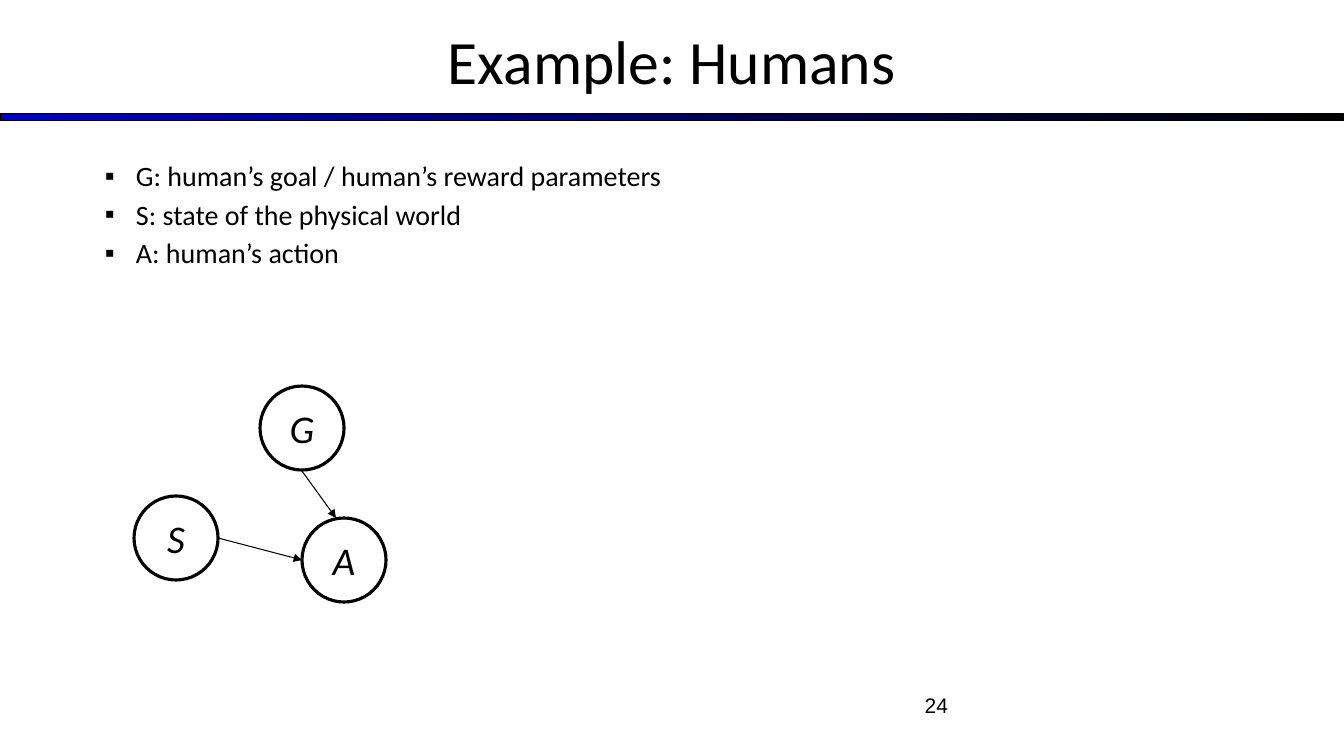
"""Build the slide that shows a human's action as a small graphical model."""
from lxml.etree import SubElement
from pptx import Presentation
from pptx.dml.color import RGBColor
from pptx.enum.shapes import MSO_CONNECTOR, MSO_SHAPE
from pptx.enum.text import MSO_ANCHOR as Anchor, PP_ALIGN as Align
from pptx.oxml.ns import qn
from pptx.util import Pt

TITLE = "Example: Humans"
DEFINITIONS = [
    "G: human’s goal / human’s reward parameters",
    "S: state of the physical world",
    "A: human’s action",
]
PAGE_NUMBER = "24"
NODES = {"G": (260, 386), "S": (134, 496), "A": (302, 518)}
NODE_SIZE = 84
ARROWS = [((218, 538), (302, 560)), ((302, 471), (336, 518))]
COLORS = {"ink": "000000", "paper": "FFFFFF", "bar": "0000CC"}
WIDTH, HEIGHT = 1344, 756
SCALE = 914400 / 100.8


def emu(*pixels):
    return [round(value * SCALE) for value in pixels]


def color(name):
    return RGBColor.from_string(COLORS[name])


def write(frame, lines, size, font="Calibri", align=Align.LEFT, anchor=Anchor.TOP,
          italic=False, wrap=True, before=0):
    frame.word_wrap = wrap
    frame.vertical_anchor = anchor
    for index, line in enumerate(lines):
        paragraph = frame.add_paragraph() if index else frame.paragraphs[0]
        paragraph.alignment = align
        paragraph.space_before = Pt(before)
        run = paragraph.add_run()
        run.text = line
        run.font.size, run.font.name, run.font.italic = Pt(size), font, italic
        run.font.color.rgb = color("ink")


def add_bullet(paragraph, margin, indent):
    properties = paragraph._p.get_or_add_pPr()
    left, hanging = emu(margin, indent)
    properties.set("marL", str(left))
    properties.set("indent", str(hanging))
    bullet_color = SubElement(properties, qn("a:buClr"))
    SubElement(bullet_color, qn("a:srgbClr"), val=COLORS["ink"])
    SubElement(properties, qn("a:buFont"), typeface="Arial")
    SubElement(properties, qn("a:buChar"), char="▪")


def add_outlined(slide, kind, box, line_width):
    shape = slide.shapes.add_shape(kind, *emu(*box))
    shape.shadow.inherit = False
    shape.line.color.rgb = color("ink")
    shape.line.width = Pt(line_width)
    return shape


def add_arrow(slide, start, end):
    arrow = slide.shapes.add_connector(MSO_CONNECTOR.STRAIGHT, *emu(*start, *end))
    arrow.line.color.rgb = color("ink")
    arrow.line.width = Pt(0.75)
    SubElement(arrow.line._get_or_add_ln(), qn("a:tailEnd"), type="triangle")
    SubElement(arrow._element.spPr, qn("a:effectLst"))


presentation = Presentation()
presentation.slide_width, presentation.slide_height = emu(WIDTH, HEIGHT)
slide = presentation.slides.add_slide(presentation.slide_layouts[5])

bar = add_outlined(slide, MSO_SHAPE.RECTANGLE, (0, 114, WIDTH, 7), 0.75)
bar.fill.gradient()
bar.fill.gradient_angle = 0
for stop, name in zip(bar.fill.gradient_stops, ("bar", "ink")):
    stop.color.rgb = color(name)

title = slide.shapes.title
title.left, title.top, title.width, title.height = emu(0, -3, WIDTH, 126)
write(title.text_frame, [TITLE], 44, align=Align.CENTER, anchor=Anchor.MIDDLE)

body = slide.shapes.add_textbox(*emu(44, 154, 1254, 521))
write(body.text_frame, DEFINITIONS, 20, before=3.5)
for paragraph in body.text_frame.paragraphs:
    add_bullet(paragraph, 82, -31)

number = slide.shapes.add_textbox(*emu(723, 688, 235, 52))
write(number.text_frame, [PAGE_NUMBER], 15, font="Arial", align=Align.RIGHT)

for label, corner in NODES.items():
    node = add_outlined(slide, MSO_SHAPE.OVAL, (*corner, NODE_SIZE, NODE_SIZE), 2.25)
    node.fill.solid()
    node.fill.fore_color.rgb = color("paper")
    write(node.text_frame, [label], 28, align=Align.CENTER, anchor=Anchor.MIDDLE,
          italic=True, wrap=False)

for start, end in ARROWS:
    add_arrow(slide, start, end)

presentation.save("out.pptx")
